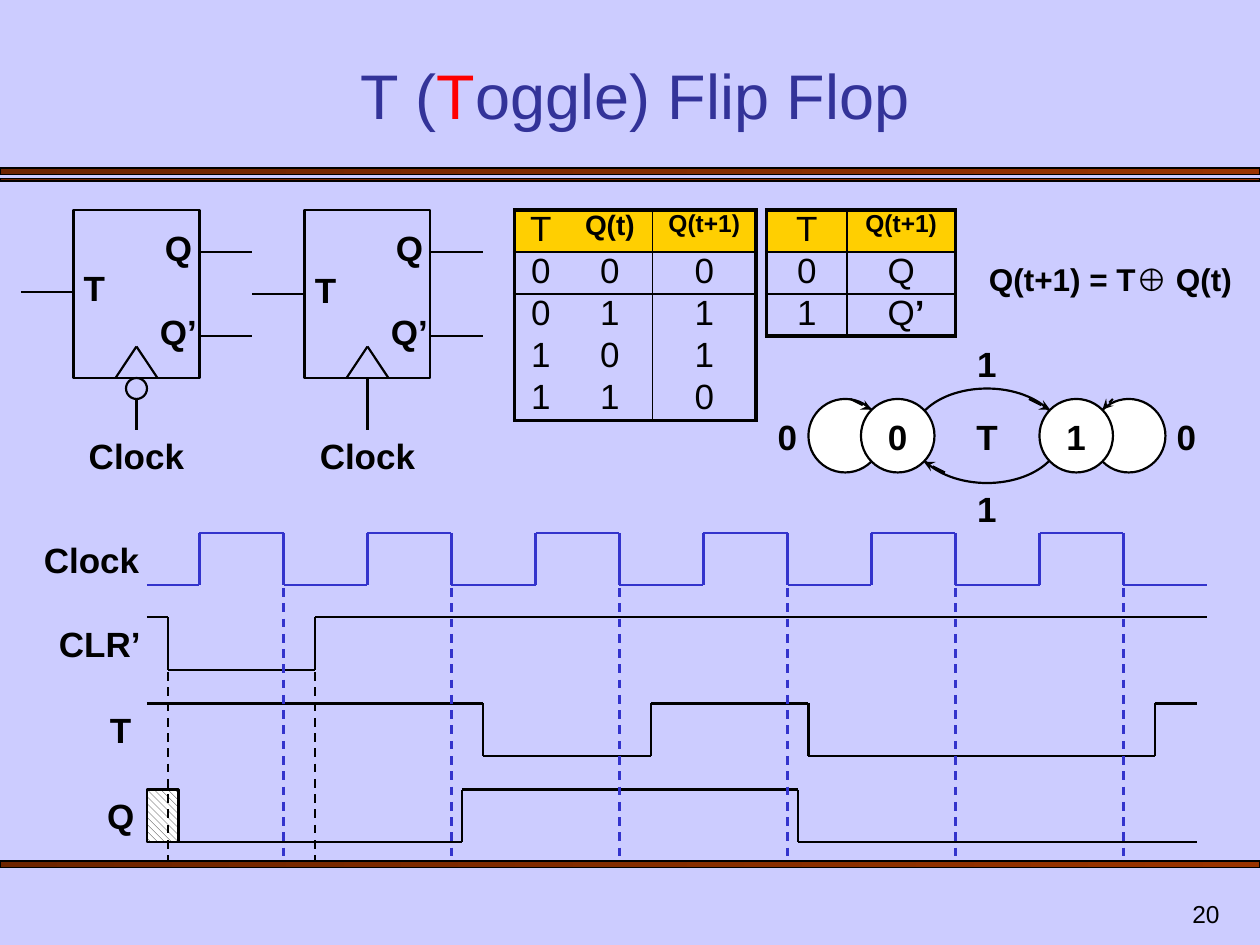
from pptx import Presentation
from pptx.dml.color import RGBColor as RGB
from pptx.enum.dml import MSO_LINE as Dash, MSO_PATTERN as Pat
from pptx.enum.shapes import MSO_CONNECTOR as Conn, MSO_SHAPE as Geo
from pptx.enum.text import MSO_ANCHOR as Anchor, MSO_AUTO_SIZE as Auto, PP_ALIGN as Align
from pptx.oxml.ns import qn
from pptx.util import Pt
from lxml.etree import SubElement as Sub

THEME = dict(
    font="Arial", back="CCCCFF", ink="000000", blue="3333CC", title="333399",
    red="FF0000", head="FFCF01", white="FFFFFF", hatch="1C1C1C",
    bar=("6D2400", "993300"), title_pt=36, label=20, rule=18, page=14,
    line=1.25, frame=2.25, grid=1)
PLAIN = "{2D5ABB26-0587-4C30-8999-92F81FD0307C}"  # table style without grid

# Content
TITLE = [("T (", "title"), ("T", "red"), ("oggle) Flip Flop", "title")]
PAGE = "20"
RULE = "Q(t+1) = T⊕ Q(t)"
BARS = [(96, 3.6), (102, 1.5), (492, 3.6)]  # top, height
FLOPS = [(42, 167, True), (174, 168, False)]  # left, T pin, bubble on clock

HEAD = {"T": (20, False), "Q(t)": (16, True), "Q(t+1)": (14, True)}
TABLES = [  # left, column widths, rows
    (294, (30, 49, 59), [("T", "Q(t)", "Q(t+1)"), "000", "011", "101", "110"]),
    (438, (46, 62), [("T", "Q(t+1)"), ("0", "Q"), ("1", " Q’")]),
]
TOP, ROW = 120, 24

LOOPS, STATES = (624, 462), [(492, "0"), (594, "1")]
MARKS = [("1", 546, 275), ("1", 546, 192), ("0", 432, 234),
         ("0", 660, 234), ("T", 546, 234)]
ARROWS = [(486, 228, 498, 234), (636, 228, 630, 234),
          (588, 228, 600, 234), (540, 270, 528, 264)]

START, SWING, HALF, BASE = 84, 30, 48, 492
EDGES = [114 + HALF * i for i in range(12)]
CLEAR = [96, 180]
WAVES = [  # name, label width, high level, starts high, edges, end, colour
    ("Clock", 72, 304.5, False, EDGES, 690, "blue"),
    ("CLR’", 66, 352.8, True, CLEAR, 690, "ink"),
    ("T", 42, 402, True, [276, 372, 462, 660], 684, "ink"),
    ("Q", 42, 451.2, False, [264, 456], 684, "ink"),
]

deck = Presentation()
deck.slide_width, deck.slide_height = Pt(720), Pt(540)
slide = deck.slides.add_slide(deck.slide_layouts[5])
shapes = slide.shapes


def tone(name):
    return RGB.from_string(THEME[name])


def style(par, size, bold=False, align=Align.CENTER):
    par.alignment = align
    font = par.font
    font.name, font.size, font.bold = THEME["font"], Pt(size), bold
    font.color.rgb = tone("ink")


def label(text, x, y, w, h=31, size=THEME["label"], bold=True, align=Align.CENTER):
    frame = shapes.add_textbox(Pt(x), Pt(y), Pt(w), Pt(h)).text_frame
    frame.word_wrap = True
    frame.text = text
    style(frame.paragraphs[0], size, bold, align)
    return frame


def shape(kind, x, y, w, h, fill=None, width=THEME["line"]):
    part = shapes.add_shape(kind, Pt(x), Pt(y), Pt(w), Pt(h))
    part.shadow.inherit = False
    part.line.color.rgb, part.line.width = tone("ink"), Pt(width)
    if fill:
        part.fill.solid()
        part.fill.fore_color.rgb = tone(fill)
    else:
        part.fill.background()
    return part


def line(x1, y1, x2, y2, color="ink", dash=False, arrow=False):
    part = shapes.add_connector(Conn.STRAIGHT, Pt(x1), Pt(y1), Pt(x2), Pt(y2))
    part.line.color.rgb, part.line.width = tone(color), Pt(THEME["line"])
    if dash:
        part.line.dash_style = Dash.DASH
    if arrow:
        Sub(part.line._get_or_add_ln(), qn("a:tailEnd"), type="stealth")
    Sub(part._element.spPr, qn("a:effectLst"))


def chain(points, color="ink"):
    for a, b in zip(points, points[1:]):
        line(*a, *b, color)


def border(cell, side, width):
    props = cell._tc.get_or_add_tcPr()
    edge = Sub(props, qn("a:ln" + side), w=str(Pt(width)))
    Sub(Sub(edge, qn("a:solidFill")), qn("a:srgbClr"), val=THEME["ink"])


def table(x, widths, rows):
    last, end = len(widths) - 1, len(rows) - 1
    grid = shapes.add_table(len(rows), len(widths), Pt(x), Pt(TOP),
                            Pt(sum(widths)), Pt(ROW * len(rows))).table
    grid.first_row = grid.horz_banding = False
    grid._tbl.tblPr[0].text = PLAIN
    for col, w in zip(grid.columns, widths):
        col.width = Pt(w)
    for r, row in enumerate(rows):
        grid.rows[r].height = Pt(ROW)
        for c, text in enumerate(row):
            cell = grid.cell(r, c)
            cell.margin_top = cell.margin_bottom = 0
            thick, thin = THEME["frame"], THEME["grid"]
            sides = {"L": thick if c == 0 else thin if c == last else 0,
                     "R": thick if c == last else thin if c == last - 1 else 0,
                     "T": thick if r == 0 else thin if r == 1 else 0,
                     "B": thick if r == end else thin if r == 0 else 0}
            for side, w in sides.items():
                if w:
                    border(cell, side, w)
            if r == 0:
                cell.fill.solid()
                cell.fill.fore_color.rgb = tone("head")
            else:
                cell.fill.background()
            par = cell.text_frame.paragraphs[0]
            style(par, *(HEAD[text] if r == 0 else (THEME["label"], False)))
            name, tick, _ = text.partition("’")
            par.add_run().text = name
            if tick:
                run = par.add_run()
                run.text, run.font.bold = tick, True


# Background, bars, title and page number
slide.background.fill.solid()
slide.background.fill.fore_color.rgb = tone("back")
for y, h in BARS:
    fill = shape(Geo.RECTANGLE, 0, y, 720, h, width=0.75).fill
    fill.gradient()
    fill.gradient_angle = 0
    for stop, color in zip(fill.gradient_stops, THEME["bar"]):
        stop.color.rgb = RGB.from_string(color)
title = shapes.title
title.left, title.top, title.width, title.height = Pt(42), Pt(30), Pt(642), Pt(49)
frame = title.text_frame
frame.auto_size, frame.vertical_anchor = Auto.NONE, Anchor.BOTTOM
style(frame.paragraphs[0], THEME["title_pt"])
for text, color in TITLE:
    run = frame.paragraphs[0].add_run()
    run.text, run.font.color.rgb = text, tone(color)
label(PAGE, 554, 504, 150, 30, THEME["page"], False,
      Align.RIGHT).vertical_anchor = Anchor.BOTTOM

# Timing diagram
for name, w, high, up, edges, end, color in WAVES:
    level = {True: high, False: high + SWING}
    points = [(START, level[up])]
    for x in edges:
        points += [(x, level[up]), (x, level[not up])]
        up = not up
    if name == "Q":  # unknown state before the clear
        fill = shape(Geo.RECTANGLE, START, high, 18, SWING).fill
        fill.patterned()
        fill.pattern = Pat.WIDE_DOWNWARD_DIAGONAL
        fill.fore_color.rgb, fill.back_color.rgb = tone("hatch"), tone("white")
    chain(points + [(end, level[up])], color)
    label(name, 90 - w, high - 0.5, w,
          align=Align.LEFT if name == "Clock" else Align.CENTER)
for xs, y, color in [(EDGES[1::2], 336, "blue"), (CLEAR, 384, "ink")]:
    for x in xs:
        line(x, y, x, BASE, color, dash=True)

# Flip-flop symbols
for x, pin, bubble in FLOPS:
    mid, right = x + 36, x + 72
    shape(Geo.RECTANGLE, x, TOP, 72, 96)
    if bubble:
        shape(Geo.OVAL, mid - 6, 216, 12, 12)
    line(mid, 228 if bubble else 216, mid, 246)
    chain([(mid - 12, 216), (mid, 198), (mid + 12, 216)])
    line(x - 30, pin, x, pin)
    label("T", x - 6, pin - 18, 36)
    for name, y in [("Q", 144), ("Q’", 192)]:
        line(right, y, right + 30, y)
        label(name, x + 42, y - 18, 36)
    label("Clock", x - 6, 245, 84)

# Truth tables
for spec in TABLES:
    table(*spec)

# State diagram and equation
shape(Geo.OVAL, 522, 222, 84, 54)
for x in LOOPS:
    shape(Geo.OVAL, x, 228, 42, 42, "white")
for x, name in STATES:
    shape(Geo.OVAL, x, 228, 42, 42, "white")
    label(name, x + 6, 234, 30)
for ends in ARROWS:
    line(*ends, arrow=True)
for name, x, y in MARKS:
    label(name, x, y, 36)
label(RULE, 558, 145, 156, 29, THEME["rule"], align=Align.LEFT)

deck.save("out.pptx")
